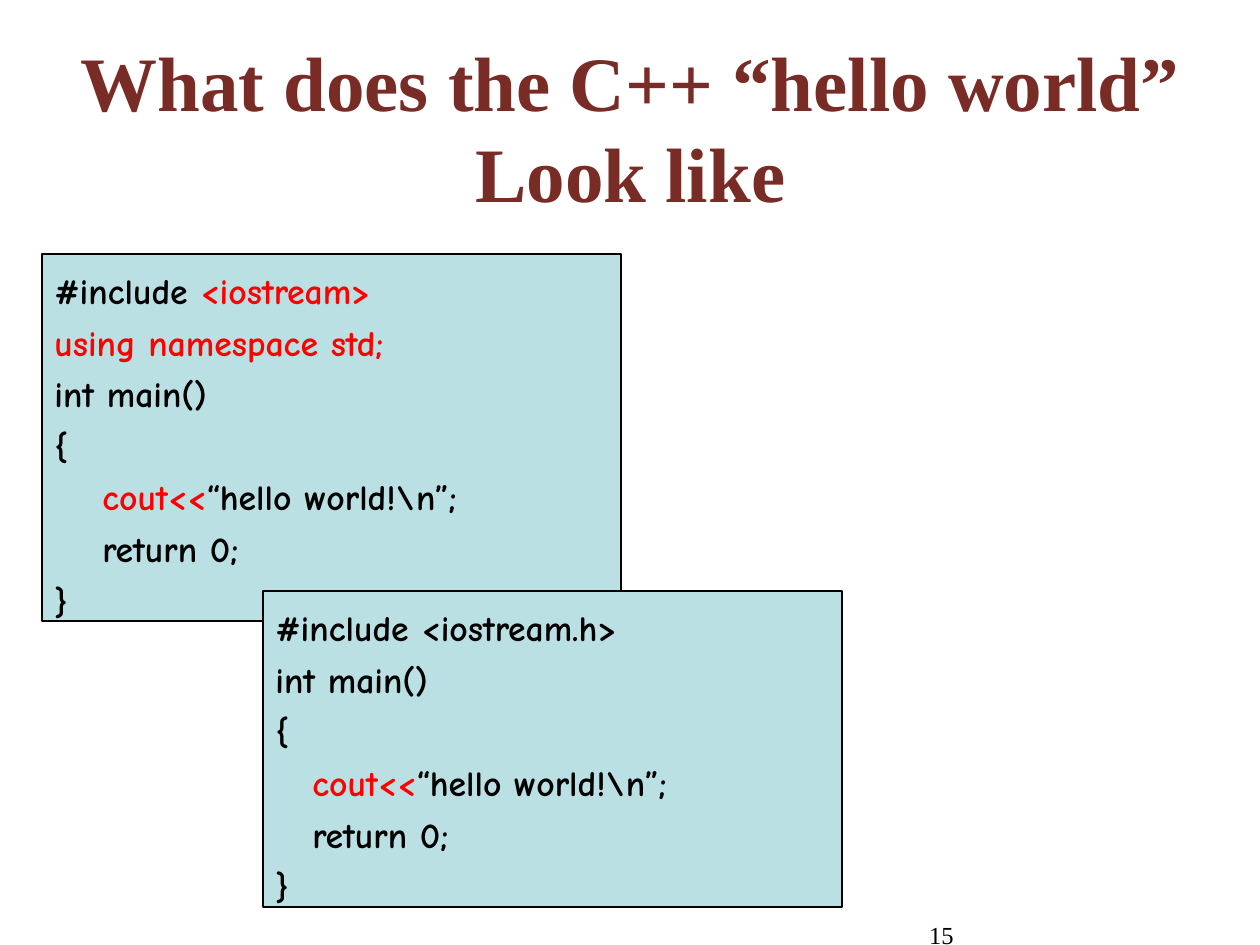
from dataclasses import dataclass

from pptx import Presentation
from pptx.dml.color import RGBColor
from pptx.enum.text import MSO_ANCHOR, PP_ALIGN
from pptx.enum.shapes import MSO_SHAPE
from pptx.util import Emu, Pt

RECTANGLE = MSO_SHAPE.RECTANGLE
LEFT, CENTER, RIGHT = PP_ALIGN.LEFT, PP_ALIGN.CENTER, PP_ALIGN.RIGHT
TOP, MIDDLE = MSO_ANCHOR.TOP, MSO_ANCHOR.MIDDLE
PX_PER_INCH = 126


@dataclass(frozen=True)
class Theme:
    """Colours, fonts and type sizes of the slide."""
    heading: RGBColor = RGBColor(0x79, 0x2B, 0x25)
    ink: RGBColor = RGBColor(0, 0, 0)
    accent: RGBColor = RGBColor(0xFF, 0, 0)
    panel: RGBColor = RGBColor(0xBB, 0xE0, 0xE3)
    serif: str = "Times New Roman"
    code: str = "Comic Neue"
    title_size: float = 44
    code_size: float = 20.4
    number_size: float = 14
    code_gap: float = 5
    border: float = 0.75


THEME = Theme()
BODY = [
    [("int main()", THEME.ink)],
    [("{", THEME.ink)],
    [("\t", THEME.ink), ("cout<<", THEME.accent), ("“hello world!\\n”;", THEME.ink)],
    [("\treturn 0;", THEME.ink)],
    [("}", THEME.ink)],
]
STANDARD_CODE = [
    [("#include ", THEME.ink), ("<iostream>", THEME.accent)],
    [("using namespace std;", THEME.accent)],
    *BODY,
]
LEGACY_CODE = [[("#include <iostream.h>", THEME.ink)], *BODY]


def px(length):
    """Turn pixels into EMU."""
    return Emu(round(length * 914400 / PX_PER_INCH))


def add_run(paragraph, text, font_name, size, color, bold):
    """Add one styled run to a paragraph."""
    run = paragraph.add_run()
    run.text = text
    run.font.name = font_name
    run.font.size = Pt(size)
    run.font.color.rgb = color
    run.font.bold = bold


def add_label(slide, box, text, size, color, align, anchor, bold=False, leading=None):
    """Add a one-paragraph serif text box."""
    label = slide.shapes.add_textbox(*map(px, box))
    frame = label.text_frame
    frame.word_wrap = True
    frame.vertical_anchor = anchor
    paragraph = frame.paragraphs[0]
    paragraph.alignment = align
    if leading:
        paragraph.line_spacing = Pt(leading)
    add_run(paragraph, text, THEME.serif, size, color, bold)


def add_code_panel(slide, box, indent, code_lines):
    """Add a bordered panel of code with a hanging indent."""
    panel = slide.shapes.add_shape(RECTANGLE, *map(px, box))
    panel.shadow.inherit = False
    panel.fill.solid()
    panel.fill.fore_color.rgb = THEME.panel
    panel.line.color.rgb = THEME.ink
    panel.line.width = Pt(THEME.border)
    frame = panel.text_frame
    frame.word_wrap = True
    frame.vertical_anchor = TOP
    frame.margin_top = px(15)
    for index, code_line in enumerate(code_lines):
        paragraph = frame.add_paragraph() if index else frame.paragraphs[0]
        paragraph.alignment = LEFT
        paragraph.space_before = Pt(THEME.code_gap if index else 0)
        properties = paragraph._p.get_or_add_pPr()
        properties.set("marL", str(px(indent)))
        properties.set("indent", str(-px(indent)))
        for text, color in code_line:
            add_run(paragraph, text, THEME.code, THEME.code_size, color, True)


def main():
    """Build and save the slide."""
    deck = Presentation()
    deck.slide_width, deck.slide_height = px(1260), px(945)
    slide = deck.slides.add_slide(deck.slide_layouts[6])
    add_label(slide, (850, 914, 116, 32), "15", THEME.number_size, THEME.ink, RIGHT, TOP)
    add_label(slide, (42, 37, 1177, 179), "What does the C++ “hello world” Look like",
              THEME.title_size, THEME.heading, CENTER, MIDDLE, bold=True, leading=52.5)
    add_code_panel(slide, (42, 254, 579, 367), 48, STANDARD_CODE)
    add_code_panel(slide, (263, 591, 579, 316), 37, LEGACY_CODE)
    deck.save("out.pptx")


if __name__ == "__main__":
    main()
